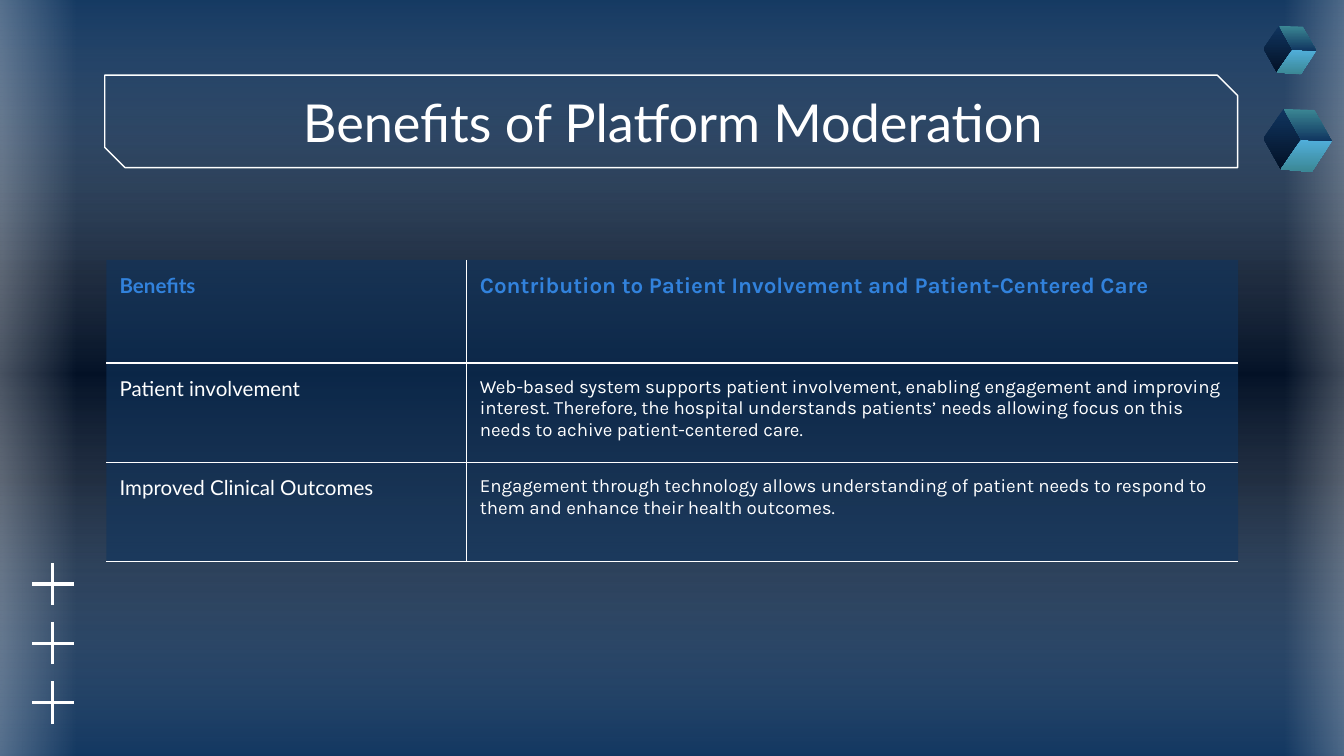
from dataclasses import dataclass
from typing import NamedTuple

from lxml.etree import SubElement
from pptx import Presentation
from pptx.dml.color import RGBColor
from pptx.enum.shapes import MSO_SHAPE as Preset
from pptx.enum.text import MSO_ANCHOR as Anchor, PP_ALIGN as Align
from pptx.oxml import parse_xml
from pptx.oxml.ns import nsdecls, qn
from pptx.util import Cm, Pt

WHITE = RGBColor(0xFF, 0xFF, 0xFF)
NAVY = RGBColor(0x10, 0x35, 0x5F)
MIDNIGHT = RGBColor(0x03, 0x11, 0x26)
SKY = RGBColor(0x51, 0xAF, 0xDB)
TEAL = RGBColor(0x3B, 0x87, 0x94)
HEADER_BLUE = RGBColor(0x32, 0x82, 0xDC)

LINE_WIDTH = Pt(0.75)
INSET = Cm(0.25)
CELL_OPACITY = 59


class Stop(NamedTuple):
    position: int
    color: RGBColor
    opacity: int = 100


class Point(NamedTuple):
    x: float
    y: float


@dataclass
class Panel:
    left: float
    top: float
    width: float
    height: float
    rotation: int
    stops: list[Stop]


@dataclass
class Face:
    corners: list[Point]
    start: RGBColor
    end: RGBColor


@dataclass
class Cube:
    left: float
    top: float
    scale: float


@dataclass
class Row:
    height: float
    benefit: str
    contribution: str


GLOW = [Stop(0, WHITE, 47), Stop(100, WHITE, 0)]
PANELS = [
    Panel(5.59, -5.92, 14.76, 25.93, 270,
          [Stop(0, NAVY, 59), Stop(50, WHITE, 0), Stop(100, NAVY, 59)]),
    Panel(-1.04, -0.23, 2.49, 14.73, 180, GLOW),
    Panel(24.28, -0.33, 2.16, 14.73, 0, GLOW),
]

TOP, UPPER_RIGHT = Point(0.38, 0), Point(0.96, 0.02)
LEFT, CENTER, RIGHT = Point(0, 0.56), Point(0.71, 0.58), Point(1.29, 0.61)
LOWER_LEFT, LOWER_RIGHT = Point(0.33, 1.14), Point(0.91, 1.19)
FACES = [
    Face([TOP, LEFT, LOWER_LEFT, CENTER], NAVY, MIDNIGHT),
    Face([CENTER, RIGHT, LOWER_RIGHT, LOWER_LEFT], SKY, TEAL),
    Face([TOP, UPPER_RIGHT, RIGHT, CENTER], TEAL, NAVY),
]
CUBES = [Cube(23.88, 2.06, 1), Cube(23.88, 0.49, 0.77)]

PLUS_X, PLUS_Y, PLUS_PITCH, PLUS_COUNT = 1.0, 11.04, 1.12, 3
PLUS_SIZE, PLUS_THICKNESS = 0.8, 0.06

COLUMN_WIDTHS = [6.81, 14.58]
ROWS = [
    Row(1.95, "Benefits",
        "Contribution to Patient Involvement and Patient-Centered Care"),
    Row(1.88, "Patient involvement",
        "Web-based system supports patient involvement, enabling engagement and "
        "improving interest. Therefore, the hospital understands patients’ needs "
        "allowing focus on this needs to achive patient-centered care."),
    Row(1.88, "Improved Clinical Outcomes",
        "Engagement through technology allows understanding of patient needs to "
        "respond to them and enhance their health outcomes."),
]


def write_text(frame, text: str, *, font: str, size: float, color=WHITE,
               bold=False, align=Align.LEFT, space_after=0) -> None:
    paragraph = frame.paragraphs[0]
    paragraph.alignment = align
    paragraph.space_after = Pt(space_after)
    run = paragraph.add_run()
    run.text = text
    run.font.name = font
    run.font.size = Pt(size)
    run.font.bold = bold
    run.font.color.rgb = color


def set_margins(target) -> None:
    target.margin_left = target.margin_right = INSET
    target.margin_top = target.margin_bottom = INSET


def set_opacity(color_element, opacity: int) -> None:
    SubElement(color_element, qn("a:alpha"), val=str(opacity * 1000))


def set_gradient(fill, element, stops: list[Stop], angle: int) -> None:
    fill.gradient()
    gradient = next(element.iter(qn("a:gradFill")))
    stop_list = gradient.find(qn("a:gsLst"))
    for old_stop in list(stop_list):
        stop_list.remove(old_stop)
    for stop in stops:
        entry = SubElement(stop_list, qn("a:gs"), pos=str(stop.position * 1000))
        color = SubElement(entry, qn("a:srgbClr"), val=str(stop.color))
        set_opacity(color, stop.opacity)
    gradient.find(qn("a:lin")).set("ang", str(angle * 60000))


def draw_panel(slide, panel: Panel) -> None:
    shape = slide.shapes.add_shape(Preset.RECTANGLE, Cm(panel.left), Cm(panel.top),
                                   Cm(panel.width), Cm(panel.height))
    shape.rotation = panel.rotation
    shape.shadow.inherit = False
    shape.line.fill.background()
    set_gradient(shape.fill, shape.element, panel.stops, 180)


def draw_polygon(group, points: list[Point]):
    corners = [(Cm(point.x), Cm(point.y)) for point in points]
    builder = group.shapes.build_freeform(*corners[0])
    builder.add_line_segments(corners[1:], close=True)
    shape = builder.convert_to_shape()
    shape.shadow.inherit = False
    shape.line.fill.background()
    return shape


def draw_cube(slide, cube: Cube) -> None:
    group = slide.shapes.add_group_shape()
    for face in FACES:
        points = [Point(cube.left + corner.x * cube.scale,
                        cube.top + corner.y * cube.scale) for corner in face.corners]
        shape = draw_polygon(group, points)
        set_gradient(shape.fill, shape.element,
                     [Stop(0, face.start), Stop(100, face.end)], 90)


def draw_pluses(slide) -> None:
    group = slide.shapes.add_group_shape()
    for index in range(PLUS_COUNT):
        y = PLUS_Y + index * PLUS_PITCH
        for width, height in ((PLUS_SIZE, PLUS_THICKNESS), (PLUS_THICKNESS, PLUS_SIZE)):
            dx, dy = width / 2, height / 2
            bar = draw_polygon(group, [
                Point(PLUS_X - dx, y - dy), Point(PLUS_X - dx, y + dy),
                Point(PLUS_X + dx, y + dy), Point(PLUS_X + dx, y - dy)])
            bar.fill.solid()
            bar.fill.fore_color.rgb = WHITE


def draw_title(slide) -> None:
    frame = slide.shapes.add_shape(Preset.SNIP_2_DIAG_RECTANGLE, Cm(1.98), Cm(1.42),
                                   Cm(21.41), Cm(1.75))
    frame.adjustments[0], frame.adjustments[1] = 0, 0.22
    frame.shadow.inherit = False
    frame.fill.background()
    frame.line.color.rgb = WHITE
    frame.line.width = LINE_WIDTH
    title = slide.shapes.title
    title.left, title.top, title.width, title.height = Cm(2.01), Cm(1.5), Cm(21.41), Cm(1.6)
    title.element.getparent().append(title.element)
    title.text_frame.vertical_anchor = Anchor.MIDDLE
    set_margins(title.text_frame)
    write_text(title.text_frame, "Benefits of Platform Moderation",
               font="Lato", size=28, align=Align.CENTER)


def format_cell(cell, borders: dict[str, bool]) -> None:
    set_margins(cell)
    cell.fill.solid()
    cell.fill.fore_color.rgb = NAVY
    properties = cell._tc.get_or_add_tcPr()
    set_opacity(next(properties.iter(qn("a:srgbClr"))), CELL_OPACITY)
    for index, (side, visible) in enumerate(borders.items()):
        paint = (f'<a:solidFill><a:srgbClr val="{WHITE}"/></a:solidFill>'
                 if visible else "<a:noFill/>")
        properties.insert(index, parse_xml(
            f'<a:ln{side} {nsdecls("a")} w="{LINE_WIDTH}">{paint}</a:ln{side}>'))


def draw_table(slide) -> None:
    table = slide.shapes.add_table(
        len(ROWS), len(COLUMN_WIDTHS), Cm(2.01), Cm(4.91), Cm(sum(COLUMN_WIDTHS)),
        Cm(sum(row.height for row in ROWS))).table
    table.horz_banding = False
    for column, width in zip(table.columns, COLUMN_WIDTHS):
        column.width = Cm(width)
    for index, row in enumerate(ROWS):
        header = index == 0
        table.rows[index].height = Cm(row.height)
        style = {"bold": header, "color": HEADER_BLUE if header else WHITE}
        benefit, contribution = table.rows[index].cells
        format_cell(benefit, {"L": False, "R": True, "T": not header, "B": True})
        format_cell(contribution, {"L": True, "R": False, "T": not header, "B": True})
        write_text(benefit.text_frame, row.benefit, font="Lato", size=11, **style)
        write_text(contribution.text_frame, row.contribution, font="Karla",
                   size=12 if header else 10, space_after=16, **style)


def main() -> None:
    presentation = Presentation()
    presentation.slide_width, presentation.slide_height = Cm(25.4), Cm(14.29)
    slide = presentation.slides.add_slide(presentation.slide_layouts[5])
    set_gradient(slide.background.fill, slide.element,
                 [Stop(0, NAVY), Stop(37, MIDNIGHT), Stop(63, MIDNIGHT), Stop(100, NAVY)], 90)
    for panel in PANELS:
        draw_panel(slide, panel)
    draw_title(slide)
    draw_table(slide)
    draw_pluses(slide)
    for cube in CUBES:
        draw_cube(slide, cube)
    presentation.save("out.pptx")


if __name__ == "__main__":
    main()
